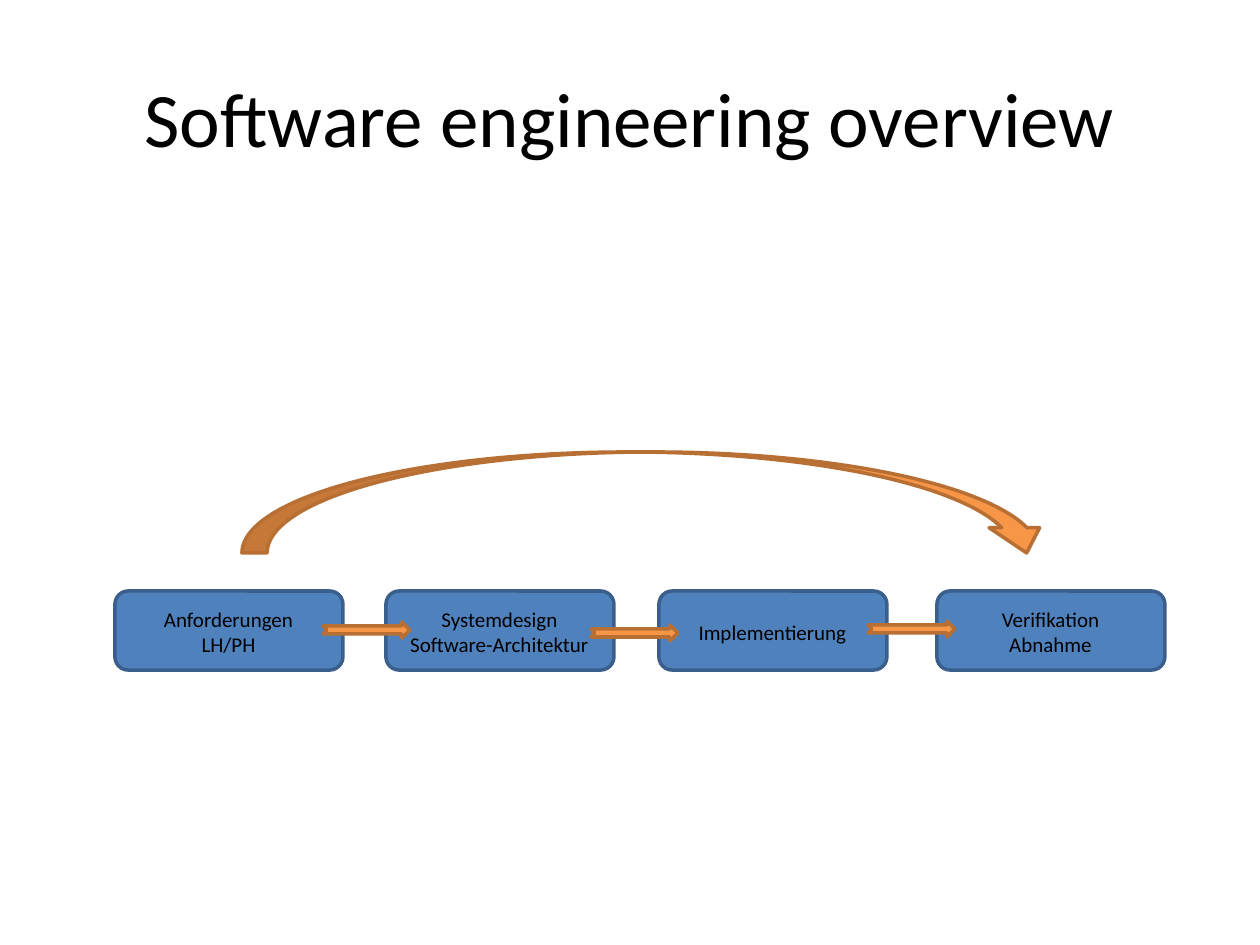
from pptx import Presentation
from pptx.dml.color import RGBColor
from pptx.enum.shapes import MSO_SHAPE as Shape
from pptx.enum.text import MSO_ANCHOR as Anchor, MSO_AUTO_SIZE as AutoSize, PP_ALIGN as Align
from pptx.util import Emu, Pt

PX = 914400 // 126
BLUE, BLUE_EDGE = "4F81BD", "3A5F8C"
ORANGE, ORANGE_EDGE = "F79646", "B76F34"
BLACK = "000000"

# Each step: left edge, label width, label lines
STEPS = [
    (115, 155, ["Anforderungen", "LH/PH"]),
    (386, 205, ["Systemdesign", "Software-Architektur"]),
    (659, 175, ["Implementierung"]),
    (937, 123, ["Verifikation", "Abnahme"]),
]
STEP_WIDTH, STEP_HEIGHT = 228, 79
# Left and top of each arrow, relative to the step row
ARROWS = [(323, 31), (591, 34), (868, 30)]


def scaled(*lengths):
    return [Emu(length * PX) for length in lengths]


def color(value):
    return RGBColor.from_string(value)


def add_block(page, kind, box, fill, edge):
    block = page.shapes.add_shape(kind, *scaled(*box))
    block.shadow.inherit = False
    block.fill.solid()
    block.fill.fore_color.rgb = color(fill)
    block.line.color.rgb = color(edge)
    block.line.width = Pt(2)
    return block


def add_text(page, box, lines, size, wrap=False):
    frame = page.shapes.add_textbox(*scaled(*box)).text_frame
    frame.word_wrap = wrap
    frame.auto_size = AutoSize.NONE if wrap else AutoSize.SHAPE_TO_FIT_TEXT
    frame.vertical_anchor = Anchor.MIDDLE if wrap else Anchor.TOP
    for index, line in enumerate(lines):
        para = frame.add_paragraph() if index else frame.paragraphs[0]
        para.alignment = Align.CENTER
        span = para.add_run()
        span.text = line
        span.font.name = "Calibri"
        span.font.size = Pt(size)
        span.font.color.rgb = color(BLACK)


def add_step(page, box, label_width, lines):
    left, top, width, height = box
    add_block(page, Shape.ROUNDED_RECTANGLE, box, BLUE, BLUE_EDGE)
    # Label centred on the step
    label_height = 13 + 25 * len(lines)
    label = (left + (width - label_width) // 2, top + (height + 3 - label_height) // 2,
             label_width, label_height)
    add_text(page, label, lines, 12)


def add_process(page, top):
    for left, label_width, lines in STEPS:
        add_step(page, (left, top, STEP_WIDTH, STEP_HEIGHT), label_width, lines)
    # Long arrow from the first step to the last
    add_block(page, Shape.CURVED_DOWN_ARROW, (242, top - 139, 810, 101), ORANGE, ORANGE_EDGE)
    # Short arrows between neighbouring steps
    for left, offset in ARROWS:
        add_block(page, Shape.NOTCHED_RIGHT_ARROW, (left, top + offset, 87, 16),
                  ORANGE, ORANGE_EDGE)


def main():
    deck = Presentation()
    deck.slide_width, deck.slide_height = scaled(1260, 945)
    page = deck.slides.add_slide(deck.slide_layouts[6])
    add_text(page, (63, 38, 1134, 157), ["Software engineering overview"], 44, wrap=True)
    add_process(page, 591)
    deck.save("out.pptx")


if __name__ == "__main__":
    main()
